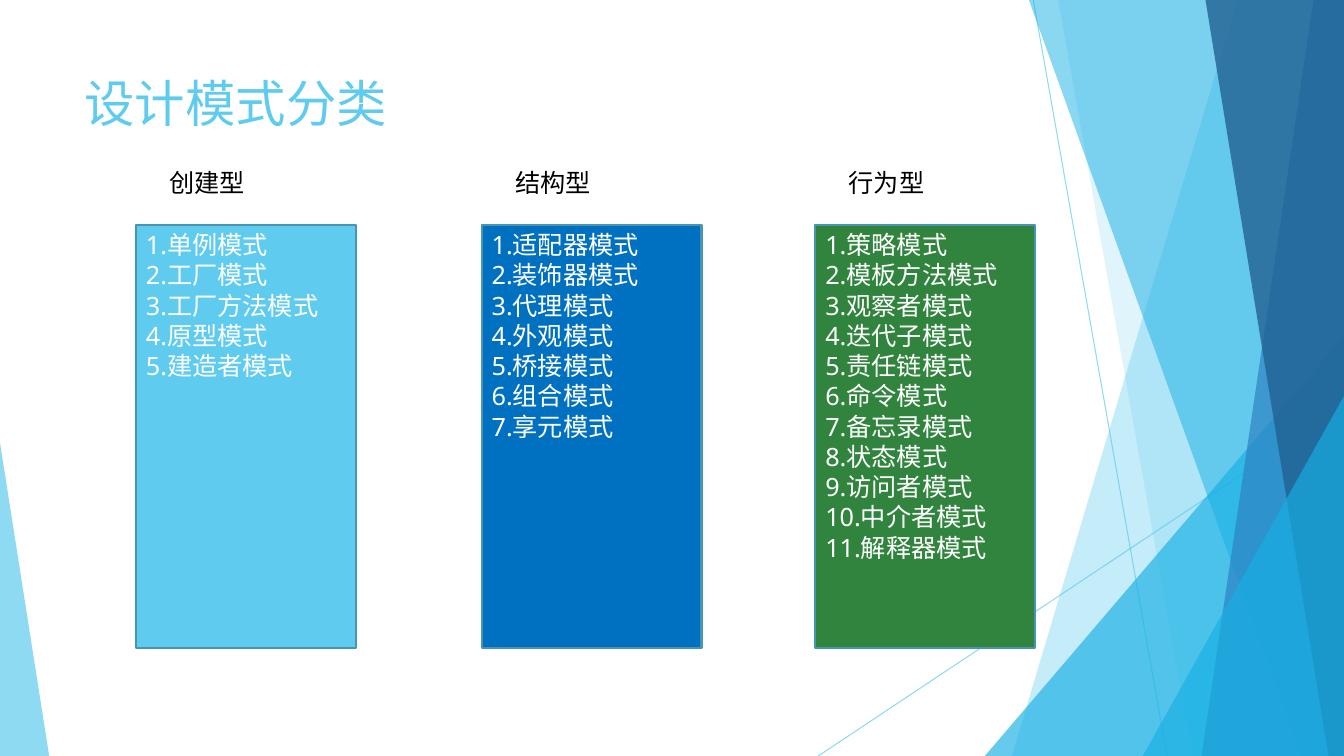
from dataclasses import dataclass

import pptx
import pptx.dml.color
import pptx.enum.shapes
import pptx.enum.text
import pptx.oxml
import pptx.oxml.ns
import pptx.util
from pptx.util import Cm

WIDTH, HEIGHT = 33.87, 19.05
FONT = "Noto Sans"
SKY, AZURE = "5FCBEF", "17B0E4"


@dataclass
class Ray:
    start: tuple[float, float]
    end: tuple[float, float]


@dataclass
class Ribbon:
    top_x: float
    bottom_x: float
    color: str
    opacity: int


@dataclass
class Corner:
    left: float
    top: float
    width: float
    peak: float
    color: str
    opacity: int


@dataclass
class Category:
    left: float
    heading: str
    color: str
    patterns: list[str]


RAYS = [Ray((26.04, 0), (29.41, HEIGHT)), Ray((WIDTH, 10.24), (20.62, HEIGHT))]

FACETS: list[Ribbon | Corner] = [
    Ribbon(31.19, 25.5, SKY, 36),
    Ribbon(26.67, 30.05, SKY, 20),
    Corner(24.82, 8.46, 9.05, 1, AZURE, 66),
    Ribbon(25.93, 32.79, AZURE, 50),
    Ribbon(33.1, 30.28, "2E83C3", 70),
    Ribbon(30.38, 33.48, "226292", 80),
    Corner(28.8, 9.98, 5.07, 1, AZURE, 66),
    Corner(0, 11.15, 1.24, 0, SKY, 70),
]

CATEGORIES = [
    Category(3.43, "创建型", SKY,
             ["单例模式", "工厂模式", "工厂方法模式", "原型模式", "建造者模式"]),
    Category(12.14, "结构型", "0070C0",
             ["适配器模式", "装饰器模式", "代理模式", "外观模式", "桥接模式",
              "组合模式", "享元模式"]),
    Category(20.55, "行为型", "31843D",
             ["策略模式", "模板方法模式", "观察者模式", "迭代子模式", "责任链模式",
              "命令模式", "备忘录模式", "状态模式", "访问者模式", "中介者模式",
              "解释器模式"]),
]


def paint(target, color: str, opacity: int = 100) -> None:
    target.solid()
    target.fore_color.rgb = pptx.dml.color.RGBColor.from_string(color)
    if opacity < 100:
        tint = target._xPr.find(".//" + pptx.oxml.ns.qn("a:srgbClr"))
        alpha = pptx.oxml.parse_xml(
            f'<a:alpha {pptx.oxml.ns.nsdecls("a")} val="{opacity * 1000}"/>')
        tint.append(alpha)


def write(frame, lines: list[str], size: int, color: str) -> None:
    frame.word_wrap = True
    frame.vertical_anchor = pptx.enum.text.MSO_ANCHOR.TOP
    for index, line in enumerate(lines):
        para = frame.add_paragraph() if index else frame.paragraphs[0]
        para.alignment = pptx.enum.text.PP_ALIGN.LEFT
        span = para.add_run()
        span.text = line
        span.font.name = FONT
        span.font.size = pptx.util.Pt(size)
        paint(span.font.fill, color)


def add_label(page, left: float, top: float, width: float, height: float,
              text: str, size: int, color: str) -> None:
    box = page.shapes.add_textbox(Cm(left), Cm(top), Cm(width), Cm(height))
    write(box.text_frame, [text], size, color)


def add_ray(page, ray: Ray) -> None:
    line = page.shapes.add_connector(
        pptx.enum.shapes.MSO_CONNECTOR.STRAIGHT,
        *map(Cm, ray.start), *map(Cm, ray.end))
    line.line.width = pptx.util.Pt(0.75)
    paint(line.line.fill, SKY, 70)
    line._element.spPr.append(pptx.oxml.parse_xml(
        f'<a:effectLst {pptx.oxml.ns.nsdecls("a")}/>'))


def add_facet(page, facet: Ribbon | Corner) -> None:
    if isinstance(facet, Ribbon):
        outline = page.shapes.build_freeform(Cm(facet.top_x), 0)
        outline.add_line_segments([
            (Cm(WIDTH), 0), (Cm(WIDTH), Cm(HEIGHT)),
            (Cm(facet.bottom_x), Cm(HEIGHT))])
        shape = outline.convert_to_shape()
    else:
        shape = page.shapes.add_shape(
            pptx.enum.shapes.MSO_SHAPE.ISOSCELES_TRIANGLE,
            Cm(facet.left), Cm(facet.top),
            Cm(facet.width), Cm(HEIGHT - facet.top))
        shape.adjustments[0] = facet.peak
    shape.shadow.inherit = False
    paint(shape.fill, facet.color, facet.opacity)
    shape.line.fill.background()


def add_category(page, category: Category) -> None:
    box = page.shapes.add_shape(
        pptx.enum.shapes.MSO_SHAPE.RECTANGLE,
        Cm(category.left), Cm(5.66), Cm(5.54), Cm(10.67))
    box.shadow.inherit = False
    paint(box.fill, category.color)
    paint(box.line.fill, "4696B1")
    box.line.width = pptx.util.Pt(1.5)
    lines = [f"{number}.{name}" for number, name in enumerate(category.patterns, 1)]
    write(box.text_frame, lines, 18, "FFFFFF")
    add_label(page, category.left + 0.59, 4.09, 4.29, 1.02,
              category.heading, 18, "000000")


def main() -> None:
    deck = pptx.Presentation()
    deck.slide_width, deck.slide_height = Cm(WIDTH), Cm(HEIGHT)
    page = deck.slides.add_slide(deck.slide_layouts[6])
    paint(page.background.fill, "FFFFFF")
    for ray in RAYS:
        add_ray(page, ray)
    for facet in FACETS:
        add_facet(page, facet)
    add_label(page, 1.88, 1.7, 23.88, 3.66, "设计模式分类", 36, SKY)
    for category in CATEGORIES:
        add_category(page, category)
    deck.save("out.pptx")


if __name__ == "__main__":
    main()
